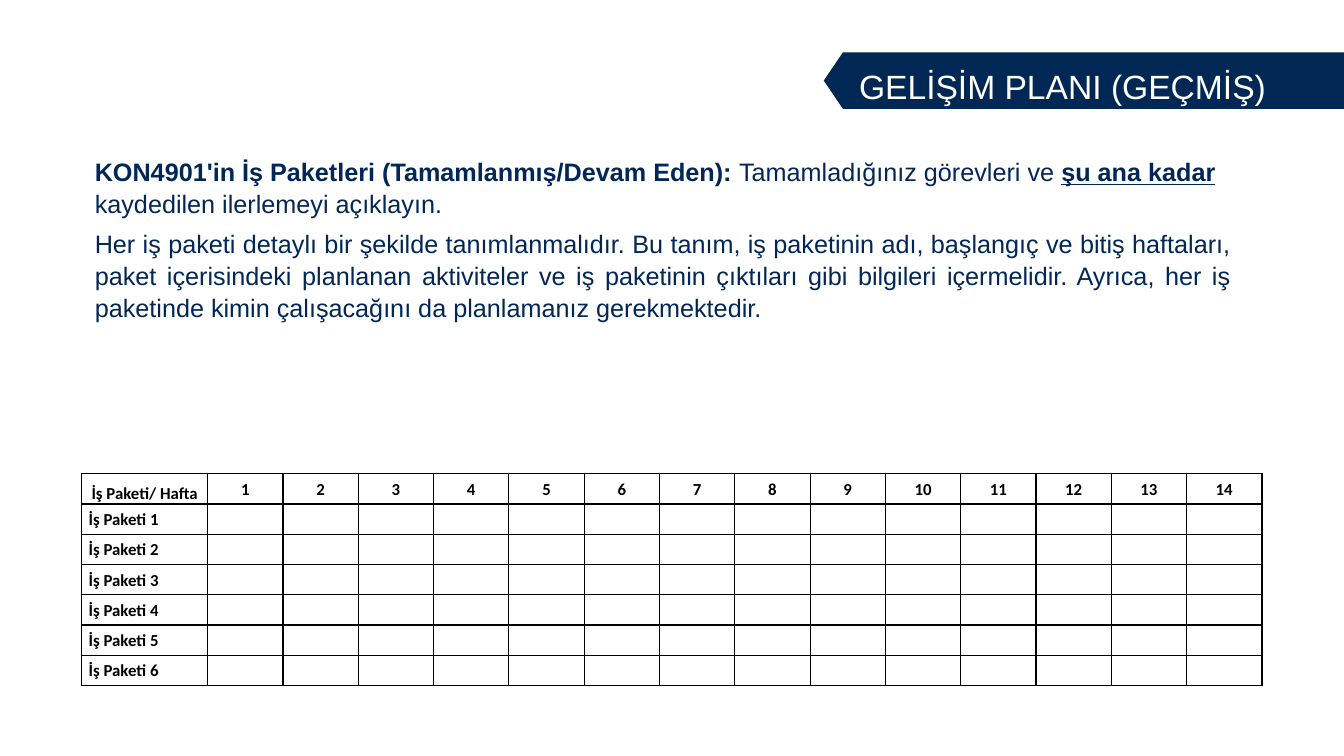
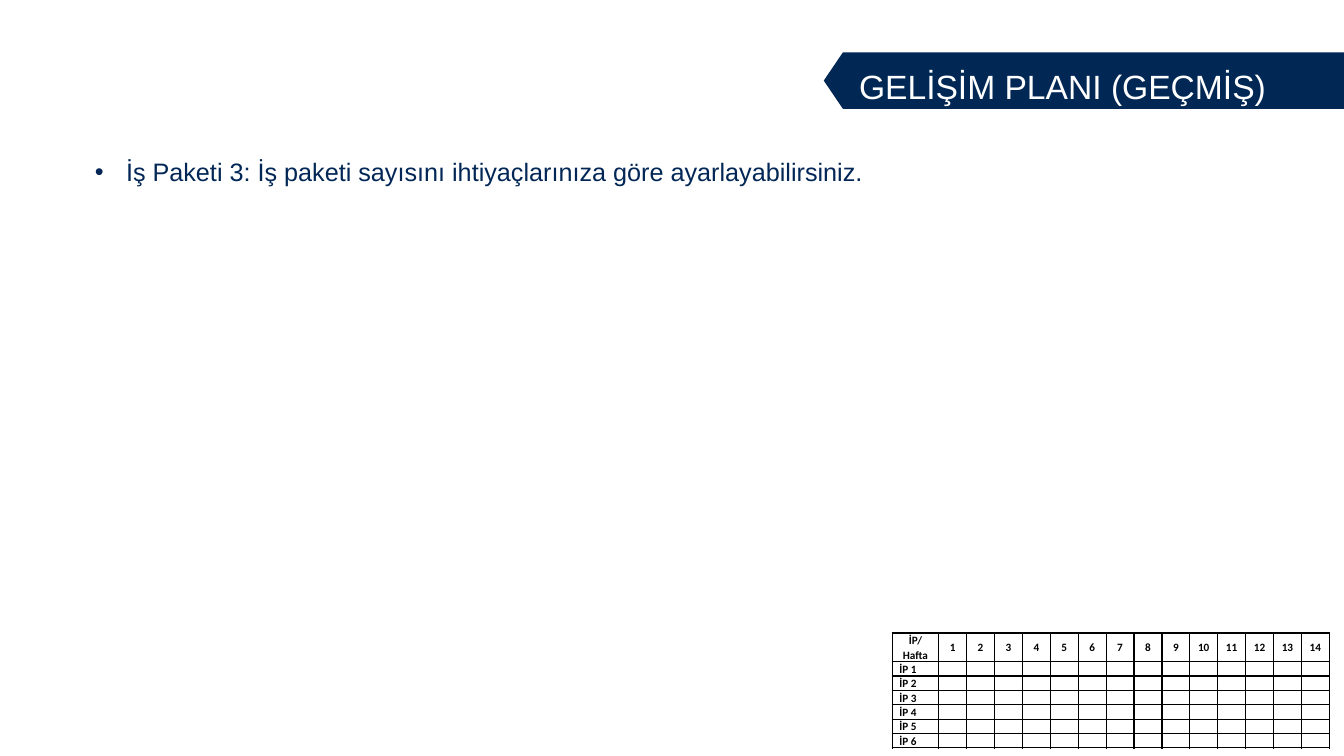
"""Build two development plan slides with weekly work package grids."""
from dataclasses import dataclass

from lxml import etree
from pptx import Presentation
from pptx.dml.color import RGBColor
from pptx.enum import text
from pptx.oxml import ns
from pptx.util import Inches, Pt


@dataclass(frozen=True)
class Theme:
    band: RGBColor = RGBColor(0x01, 0x28, 0x55)
    body: RGBColor = RGBColor(0x02, 0x27, 0x56)
    white: RGBColor = RGBColor(0xFF, 0xFF, 0xFF)
    black: RGBColor = RGBColor(0, 0, 0)
    font: str = "Arial"
    grid_font: str = "Calibri"
    title_size: int = 24
    body_size: int = 18
    line_spacing: float = 1.05
    grid_spacing: float = 1.07


THEME = Theme()
TITLE = "GELİŞİM PLANI (GEÇMİŞ)"
TITLE_BOX = (8.42, 0.6, 4.28, 0.5)
BAND = [(8.36, 0.52), (13.56, 0.52), (13.56, 1.08), (8.36, 1.08), (8.17, 0.8)]
WEEKS = 14
PACKAGES = 6
BOLD, UNDERLINED = "bold", "underlined"

PAGES = [
    {
        "bullet": False,
        "body_height": 1.7,
        "body": [
            (text.PP_ALIGN.LEFT, [
                ("KON4901'in İş Paketleri (Tamamlanmış/Devam Eden): ", {BOLD}),
                ("Tamamladığınız görevleri ve ", set()),
                ("şu ana kadar", {BOLD, UNDERLINED}),
                (" kaydedilen ilerlemeyi açıklayın.", set()),
            ]),
            (text.PP_ALIGN.JUSTIFY, [
                ("Her iş paketi detaylı bir şekilde tanımlanmalıdır. Bu tanım, iş paketinin adı, "
                 "başlangıç ve bitiş haftaları, paket içerisindeki planlanan aktiviteler ve iş "
                 "paketinin çıktıları gibi bilgileri içermelidir. Ayrıca, her iş paketinde kimin "
                 "çalışacağını da planlamanız gerekmektedir.", set()),
            ]),
        ],
        "grid": {"corner": "İş Paketi/ Hafta", "label": "İş Paketi", "at": (0.81, 4.7),
                 "columns": (1.25, 0.747), "rows": (0.3, 0.3), "size": 12},
    },
    {
        "bullet": True,
        "body_height": 0.4,
        "body": [
            (text.PP_ALIGN.LEFT, [
                ("İş Paketi 3: İş paketi sayısını ihtiyaçlarınıza göre ayarlayabilirsiniz.", set()),
            ]),
        ],
        "grid": {"corner": "İP/ Hafta", "label": "İP", "at": (8.85, 6.28),
                 "columns": (0.46, 0.277), "rows": (0.28, 0.14), "size": 8},
    },
]


def inches(values):
    return [Inches(value) for value in values]


def place(shape, box):
    shape.left, shape.top, shape.width, shape.height = inches(box)


def style(font, name, size, color, bold=False):
    font.name, font.size, font.bold = name, Pt(size), bold
    font.color.rgb = color


def add_band(page):
    """Draw the title band and hand it to the layout, behind its placeholders."""
    points = [tuple(inches(point)) for point in BAND]
    builder = page.shapes.build_freeform(*points[0], scale=1.0)
    builder.add_line_segments(points[1:], close=True)
    band = builder.convert_to_shape()
    band.shadow.inherit = False
    band.fill.solid()
    band.fill.fore_color.rgb = THEME.band
    band.line.fill.background()
    page.slide_layout.shapes._spTree.insert(2, band._element)


def fill_title(box):
    place(box, TITLE_BOX)
    frame = box.text_frame
    frame.text = TITLE
    frame.word_wrap = False
    frame.auto_size = text.MSO_AUTO_SIZE.SHAPE_TO_FIT_TEXT
    frame.vertical_anchor = text.MSO_ANCHOR.TOP
    para = frame.paragraphs[0]
    para.alignment = text.PP_ALIGN.LEFT
    style(para.font, THEME.font, THEME.title_size, THEME.white)


def set_bullet(para, shown):
    props = para._p.get_or_add_pPr()
    indent = Inches(0.31) if shown else 0
    props.set("marL", str(indent))
    props.set("indent", str(-indent))
    if shown:
        etree.SubElement(props, ns.qn("a:buChar")).set("char", "•")
    else:
        etree.SubElement(props, ns.qn("a:buNone"))


def fill_body(box, content):
    place(box, (0.84, 1.49, 11.47, content["body_height"]))
    frame = box.text_frame
    frame.word_wrap = True
    frame.auto_size = text.MSO_AUTO_SIZE.SHAPE_TO_FIT_TEXT
    for index, (alignment, spans) in enumerate(content["body"]):
        para = frame.add_paragraph() if index else frame.paragraphs[0]
        para.alignment = alignment
        para.line_spacing = THEME.line_spacing
        para.space_before, para.space_after = Pt(0), Pt(6)
        set_bullet(para, content["bullet"])
        style(para.font, THEME.font, THEME.body_size, THEME.body)
        for words, marks in spans:
            span = para.add_run()
            span.text = words
            if BOLD in marks:
                span.font.bold = True
            if UNDERLINED in marks:
                span.font.underline = True


def add_borders(cell):
    props = cell._tc.get_or_add_tcPr()
    for side in ("lnL", "lnR", "lnT", "lnB"):
        line = etree.SubElement(props, ns.qn(f"a:{side}"), w=str(Pt(1)))
        fill = etree.SubElement(line, ns.qn("a:solidFill"))
        etree.SubElement(fill, ns.qn("a:srgbClr"), val=str(THEME.black))


def fill_cell(cell, words, size, header, corner):
    add_borders(cell)
    cell.fill.solid()
    cell.fill.fore_color.rgb = THEME.white
    cell.margin_left = cell.margin_right = Inches(0.07)
    cell.margin_top = cell.margin_bottom = 0
    cell.vertical_anchor = text.MSO_ANCHOR.BOTTOM if corner else text.MSO_ANCHOR.MIDDLE
    para = cell.text_frame.paragraphs[0]
    para.alignment = text.PP_ALIGN.CENTER if header else text.PP_ALIGN.LEFT
    para.line_spacing = THEME.grid_spacing
    style(para.font, THEME.grid_font, size, THEME.black, bold=True)
    if words:
        para.add_run().text = words
    else:
        para._p.get_or_add_endParaRPr().set("sz", str(size * 100))


def add_grid(page, grid):
    label_width, week_width = grid["columns"]
    header_height, row_height = grid["rows"]
    widths = [label_width] + [week_width] * WEEKS
    heights = [header_height] + [row_height] * PACKAGES
    values = [[grid["corner"], *map(str, range(1, WEEKS + 1))]]
    values += [[f"{grid['label']} {number}"] + [""] * WEEKS
               for number in range(1, PACKAGES + 1)]
    box = inches((*grid["at"], sum(widths), sum(heights)))
    table = page.shapes.add_table(len(heights), len(widths), *box).table
    table.first_row = table.horz_banding = False
    for column, width in zip(table.columns, widths):
        column.width = Inches(width)
    for row, height in zip(table.rows, heights):
        row.height = Inches(height)
    for r, row in enumerate(values):
        for c, words in enumerate(row):
            fill_cell(table.cell(r, c), words, grid["size"], r == 0, r == c == 0)


def main():
    deck = Presentation()
    deck.slide_width, deck.slide_height = inches((13.33, 7.5))
    layout = deck.slide_layouts[1]
    for index, content in enumerate(PAGES):
        page = deck.slides.add_slide(layout)
        if index == 0:
            add_band(page)
        fill_title(page.shapes.title)
        fill_body(page.placeholders[1], content)
        add_grid(page, content["grid"])
    deck.save("out.pptx")


if __name__ == "__main__":
    main()
